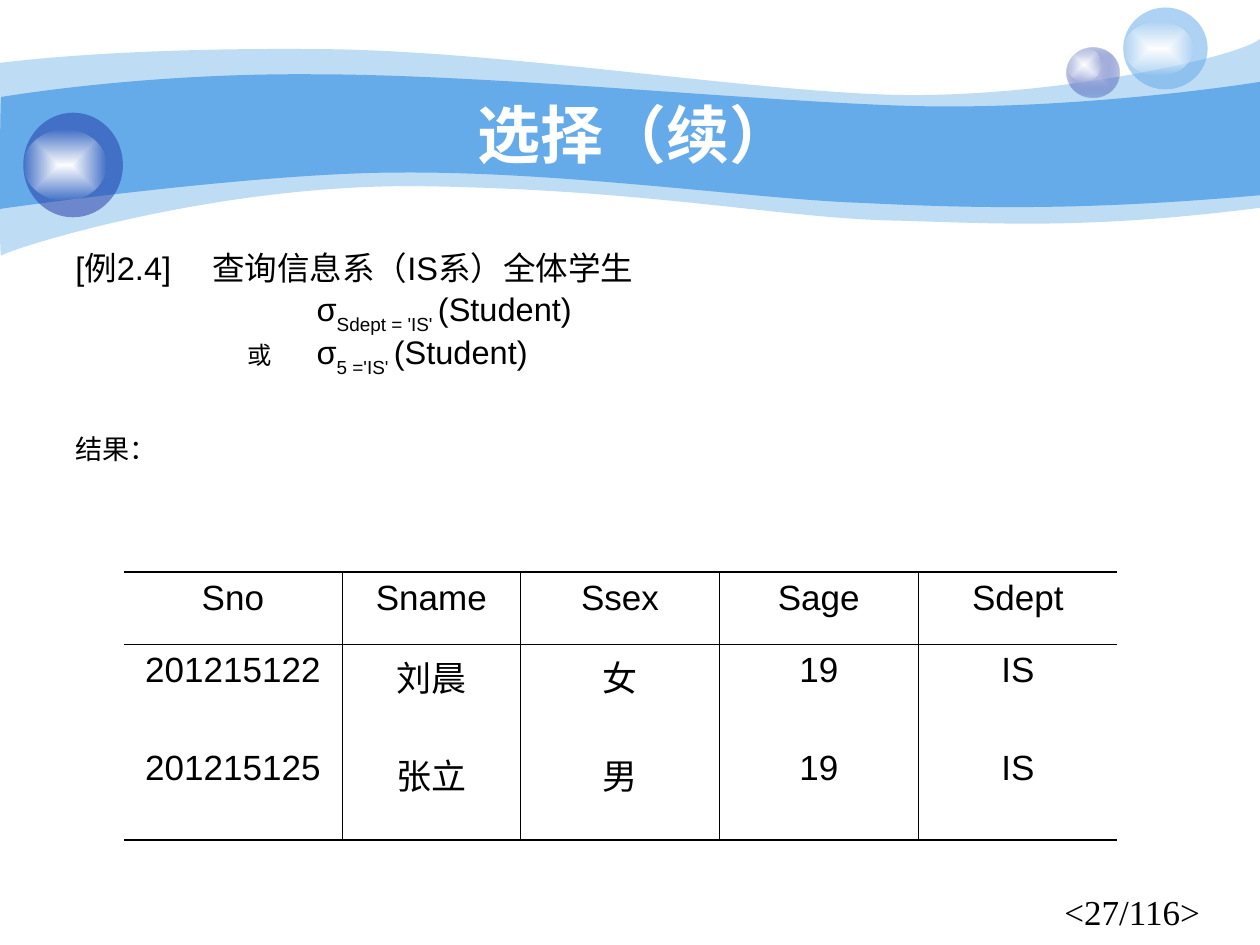
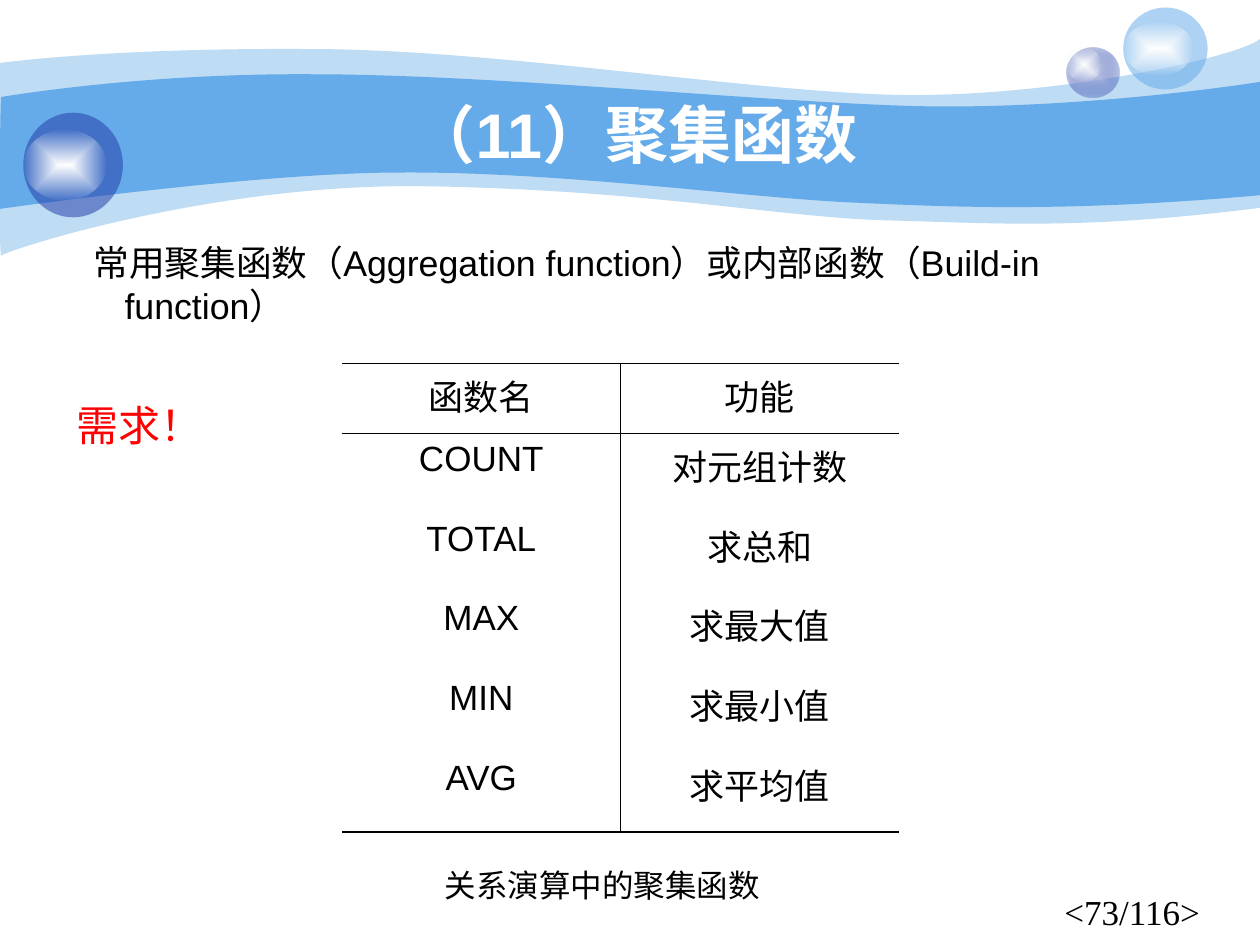
from dataclasses import dataclass

from lxml import etree
from pptx import Presentation
from pptx import util as u
from pptx.dml.color import RGBColor
from pptx.enum import shapes, text
from pptx.oxml import ns, parse_xml


@dataclass(frozen=True)
class Theme:
    sky: str = "65AAE9"
    navy: str = "233DA9"
    lilac: str = "C7CEE9"
    white: str = "FFFFFF"
    ink: str = "000000"
    alert: str = "FF0000"
    sans: str = "Arial"
    serif: str = "Times New Roman"
    title: float = 36
    alarm: float = 24
    lead: float = 20.4
    cell: float = 20
    formula: float = 18.6
    caption: float = 18
    result: float = 15.5
    small: float = 13.9
    thick: float = 1.08
    thin: float = 0.45


T = Theme()
COLS = 100
WIDTH, HEIGHT = u.Inches(10), u.Inches(7.5)
UNIT = WIDTH // COLS  # grid cells are square: 100 columns, 75 rows
CENTER, JUSTIFY = text.PP_ALIGN.CENTER, text.PP_ALIGN.JUSTIFY
TOP, MIDDLE = text.MSO_ANCHOR.TOP, text.MSO_ANCHOR.MIDDLE

# Wave edges: a start point, then three points for each Bezier curve
PALE_TOP = [(0, 5), (2.4, 4.7), (10.7, 3.8), (24.7, 3.9), (38.6, 3.9),
            (57.5, 7), (69.9, 7.5), (82.2, 8), (98, 4.7), (100, 3.1)]
PALE_BOTTOM = [(100, 16.5), (85.8, 18.3), (78.7, 17.7), (70.5, 17.5),
               (62.2, 17.3), (51.5, 15.1), (34.3, 14.8), (17.2, 14.4),
               (0.4, 19.9), (0.1, 20.3), (-0.1, 20.8), (0, 7.5), (0, 5)]
DEEP_TOP = [(0.1, 7.7), (0.2, 7.7), (11, 5.8), (24.8, 5.9), (38.6, 5.9),
            (59.5, 8), (71.8, 8.4), (84.1, 8.8), (97.6, 6.9), (100, 6.5)]
DEEP_BOTTOM = [(100, 15.5), (85.3, 16.8), (76.5, 16.5), (68.2, 16.1),
               (59.9, 15.8), (44.7, 13.6), (31.7, 13.7), (20.3, 13.7),
               (-0.2, 16.6), (-0.1, 16.6), (0, 16.6), (0, 7.7), (0.1, 7.7)]


def grid(*lengths):
    return [u.Emu(round(n * UNIT)) for n in lengths]


# Shapes
def paint(sp, color, alpha=100):
    sp.shadow.inherit = False
    sp.line.fill.background()
    sp.fill.solid()
    sp.fill.fore_color.rgb = RGBColor.from_string(color)
    if alpha < 100:
        rgb = sp._element.spPr.find(".//" + ns.qn("a:srgbClr"))
        etree.SubElement(rgb, ns.qn("a:alpha"), val=str(alpha * 1000))


def bend(segments):
    """Turn every three straight segments into one Bezier curve."""
    for i in range(0, len(segments), 3):
        curve = etree.Element(ns.qn("a:cubicBezTo"))
        segments[i].addprevious(curve)
        for segment in segments[i:i + 3]:
            curve.append(segment[0])
            segment.getparent().remove(segment)


def add_wave(s, top, bottom, alpha=100):
    points = [grid(*point) for point in top + bottom]
    builder = s.shapes.build_freeform(*points[0])
    builder.add_line_segments(points[1:], close=True)
    sp = builder.convert_to_shape()
    segments = sp._element.spPr.findall(".//" + ns.qn("a:lnTo"))
    bend(segments[:len(top) - 1])
    bend(segments[len(top):])
    paint(sp, T.sky, alpha)


def add_disc(s, area, color, alpha=100):
    sp = s.shapes.add_shape(shapes.MSO_SHAPE.OVAL, *grid(*area))
    paint(sp, color, alpha)
    return sp


def add_glow(s, area, inner, outer, alpha):
    """An ellipse that fades from its centre to a translucent rim."""
    sp = add_disc(s, area, inner)
    solid = sp._element.spPr.find(ns.qn("a:solidFill"))
    solid.getparent().replace(solid, parse_xml(
        f'<a:gradFill {ns.nsdecls("a")} rotWithShape="1"><a:gsLst>'
        f'<a:gs pos="0"><a:srgbClr val="{inner}"/></a:gs>'
        f'<a:gs pos="100000"><a:srgbClr val="{outer}">'
        f'<a:alpha val="{alpha * 1000}"/></a:srgbClr></a:gs></a:gsLst>'
        '<a:path path="rect"><a:fillToRect l="50000" t="50000" r="50000" b="50000"/>'
        '</a:path></a:gradFill>'))


# Text
def add_run(p, words, size, font=T.sans, color=T.ink, bold=False, sub=False):
    r = p.add_run()
    r.text = words
    r.font.size, r.font.name, r.font.bold = u.Pt(size), font, bold
    r.font.color.rgb = RGBColor.from_string(color)
    if sub:
        r.font._element.set("baseline", "-30000")


def format_paragraph(p, align=None, before=0, spacing=None, margin=0, indent=0):
    p.alignment = align
    p.space_before = u.Pt(before)
    if spacing:
        p.line_spacing = spacing
    pPr = p._p.get_or_add_pPr()
    left, first = grid(margin, indent)
    pPr.set("marL", str(left))
    pPr.set("indent", str(first))


def add_frame(s, area, anchor=TOP):
    tf = s.shapes.add_textbox(*grid(*area)).text_frame
    tf.word_wrap = True
    tf.vertical_anchor = anchor
    return tf


def add_text(s, area, words, size, anchor=TOP, font=T.sans, color=T.ink,
             bold=False, **layout):
    p = add_frame(s, area, anchor).paragraphs[0]
    format_paragraph(p, **layout)
    add_run(p, words, size, font, color, bold)


# Table
def set_borders(cell, **widths):
    tcPr = cell._tc.get_or_add_tcPr()
    for side in "LRTB":
        width = widths.get(side)
        ln = etree.SubElement(tcPr, ns.qn("a:ln" + side), w=str(u.Pt(width or 0)))
        if width:
            fill = etree.SubElement(ln, ns.qn("a:solidFill"))
            etree.SubElement(fill, ns.qn("a:srgbClr"), val=T.ink)
        else:
            etree.SubElement(ln, ns.qn("a:noFill"))


def add_grid_table(s, corner, widths, head_height, row_height, data):
    heights = [head_height] + [row_height] * (len(data) - 1)
    area = grid(*corner, sum(widths), sum(heights))
    tbl = s.shapes.add_table(len(data), len(widths), *area).table
    tbl.first_row = tbl.horz_banding = False
    for col, width in zip(tbl.columns, grid(*widths)):
        col.width = width
    for row, height in zip(tbl.rows, grid(*heights)):
        row.height = height
    last_row, last_col = len(data) - 1, len(widths) - 1
    for i, record in enumerate(data):
        for j, words in enumerate(record):
            cell = tbl.cell(i, j)
            set_borders(cell,
                        L=T.thin if j else None,
                        R=T.thin if j < last_col else None,
                        T={0: T.thick, 1: T.thin}.get(i),
                        B={0: T.thin, last_row: T.thick}.get(i))
            cell.fill.background()
            p = cell.text_frame.paragraphs[0]
            p.alignment = CENTER
            add_run(p, words, T.cell)


# Shared slide frame
def add_slide(prs, title, number):
    s = prs.slides.add_slide(prs.slide_layouts[6])
    add_wave(s, PALE_TOP, PALE_BOTTOM, alpha=41)
    add_wave(s, DEEP_TOP, DEEP_BOTTOM)
    add_glow(s, (84.65, 3.75, 4.2, 4), T.lilac, T.navy, 31)
    add_glow(s, (84.65, 3.75, 2.8, 2.7), T.white, T.white, 0)
    add_disc(s, (89.15, 0.6, 6.7, 6.5), T.sky, 53)
    add_glow(s, (89.15, 1.7, 5.6, 4.3), T.white, T.white, 0)
    add_disc(s, (1.85, 8.95, 7.9, 8.3), T.navy, 53)
    add_glow(s, (1.85, 10.3, 6.6, 5.6), T.white, T.white, 0)
    add_text(s, (83.5, 70.15, 15.3, 4.8), f"<{number}/116>", T.cell, font=T.serif)
    add_text(s, (10, 7.5, 80.8, 6.2), title, T.title, MIDDLE,
             color=T.white, bold=True, align=CENTER)
    return s


def add_query(s):
    """The example, its two selection formulas and the result label."""
    formula_left = 19.15
    lines = [  # space before, margin, indent, runs
        (0, 10.85, -10.85, [("[例2.4]\t查询信息系（IS系）全体学生", T.formula, False)]),
        (6, formula_left, 0, [("σ", T.formula, False),
                              ("Sdept = 'IS' ", T.formula, True),
                              ("(Student)", T.formula, False)]),
        (6, formula_left, -5.45, [("或", T.small, False),
                                  ("\tσ", T.formula, False),
                                  ("5 ='IS' ", T.formula, True),
                                  ("(Student)", T.formula, False)]),
        (40.5, 0, 0, [("结果：", T.result, False)]),
    ]
    tf = add_frame(s, (5, 20, 80.4, 18.3))
    for i, (before, margin, indent, runs) in enumerate(lines):
        p = tf.add_paragraph() if i else tf.paragraphs[0]
        format_paragraph(p, JUSTIFY, before, 0.7, margin, indent)
        for words, size, sub in runs:
            add_run(p, words, size, sub=sub)


def main():
    prs = Presentation()
    prs.slide_width, prs.slide_height = WIDTH, HEIGHT

    # Selection example
    s = add_slide(prs, "选择（续）", 27)
    add_query(s)
    add_grid_table(s, (9.84, 45.4), (17.3, 14.2, 15.75, 15.8, 15.8), 5.75, 7.75, [
        ("Sno", "Sname", "Ssex", "Sage", "Sdept"),
        ("201215122", "刘晨", "女", "19", "IS"),
        ("201215125", "张立", "男", "19", "IS"),
    ])

    # Aggregate functions
    s = add_slide(prs, "（11）聚集函数", 73)
    add_text(s, (5.1, 18.6, 91.5, 8.1),
             "常用聚集函数（Aggregation function）或内部函数（Build-in function）",
             T.lead, margin=3.8, indent=-2.47)
    add_text(s, (34.3, 68.2, 30, 4), "关系演算中的聚集函数", T.caption, MIDDLE, font=T.serif)
    add_grid_table(s, (27.15, 28.85), (22.1, 22.1), 5.55, 6.33, [
        ("函数名", "功能"),
        ("COUNT", "对元组计数"),
        ("TOTAL", "求总和"),
        ("MAX", "求最大值"),
        ("MIN", "求最小值"),
        ("AVG", "求平均值"),
    ])
    add_text(s, (5.1, 31.2, 14.2, 5), "需求！", T.alarm, font=T.serif, color=T.alert)

    prs.save("out.pptx")


if __name__ == "__main__":
    main()
